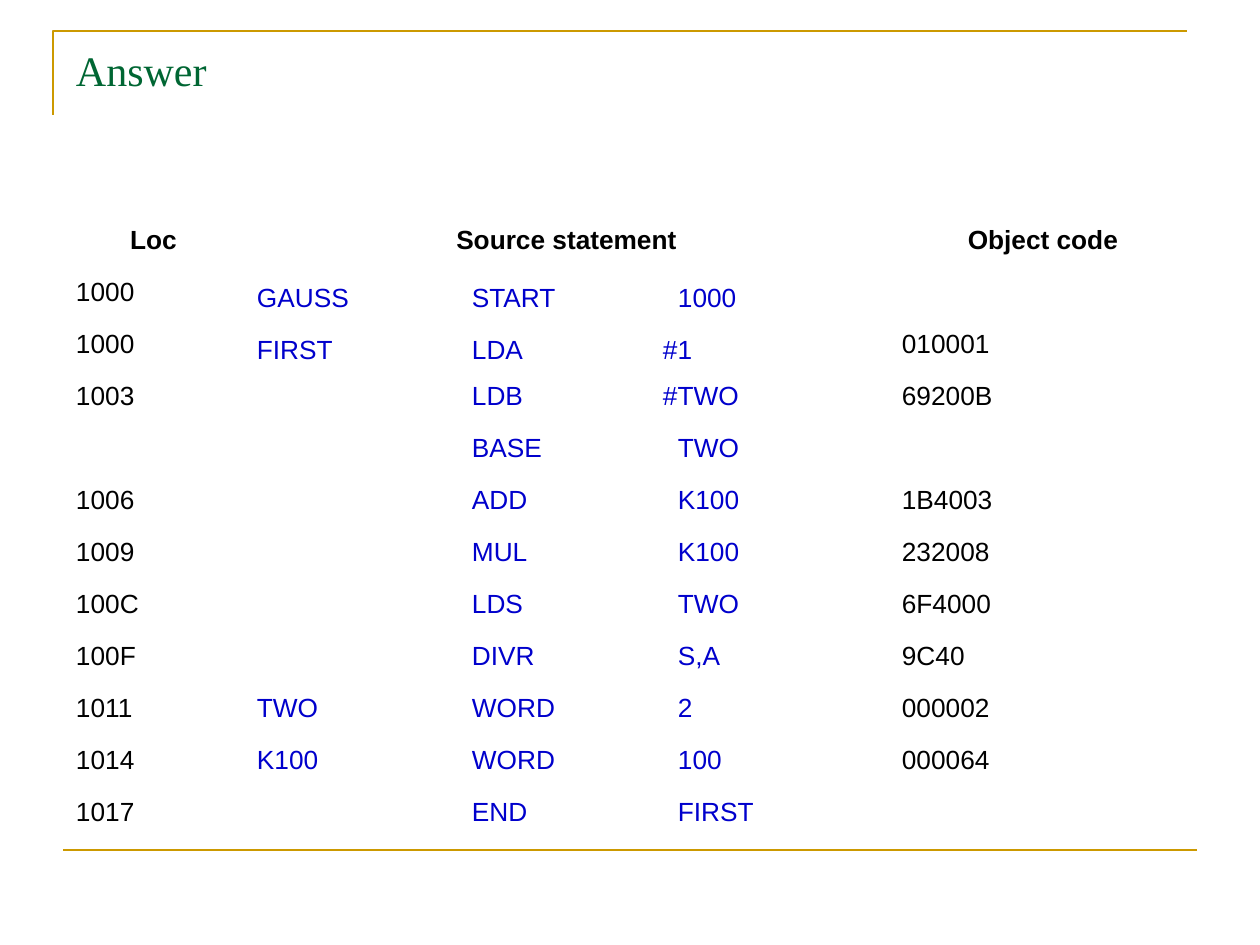
import pptx
import pptx.dml.color
import pptx.enum.shapes
import pptx.enum.text
import pptx.oxml.ns
import pptx.util
from lxml import etree

SCALE = 914400 / 126
GOLD = pptx.dml.color.RGBColor(0xCC, 0x99, 0x00)
GREEN = pptx.dml.color.RGBColor(0x00, 0x66, 0x33)
BLUE = pptx.dml.color.RGBColor(0x00, 0x00, 0xCC)
BLACK = pptx.dml.color.RGBColor(0x00, 0x00, 0x00)
TOP = pptx.enum.text.MSO_ANCHOR.TOP
MIDDLE = pptx.enum.text.MSO_ANCHOR.MIDDLE
LEFT = pptx.enum.text.PP_ALIGN.LEFT
CENTER = pptx.enum.text.PP_ALIGN.CENTER

PAD_X, PAD_Y = 13, 6
HASH_WIDTH = 15  # operands without "#" line up after it
ROW_HEIGHT = 52
COLUMNS = [181, 215, 191, 239, 308]
HEADERS = [(0, 0, "Loc"), (1, 3, "Source statement"), (4, 4, "Object code")]
OPERAND = 3
LISTING = [
    ("1000", "GAUSS", "START", "1000", ""),
    ("1000", "FIRST", "LDA", "#1", "010001"),
    ("1003", "", "LDB", "#TWO", "69200B"),
    ("", "", "BASE", "TWO", ""),
    ("1006", "", "ADD", "K100", "1B4003"),
    ("1009", "", "MUL", "K100", "232008"),
    ("100C", "", "LDS", "TWO", "6F4000"),
    ("100F", "", "DIVR", "S,A", "9C40"),
    ("1011", "TWO", "WORD", "2", "000002"),
    ("1014", "K100", "WORD", "100", "000064"),
    ("1017", "", "END", "FIRST", ""),
]


def px(n):
    """Turn pixels into EMU."""
    return pptx.util.Emu(round(n * SCALE))


class Deck:
    """The current slide and its style."""

    def __init__(self, prs):
        """Add a blank slide."""
        self.slide = prs.slides.add_slide(prs.slide_layouts[6])

    def run(self, p, text, size, color, font="Arial", bold=False):
        """Add one run of text to a paragraph."""
        r = p.add_run()
        r.text = text
        r.font.size = pptx.util.Pt(size)
        r.font.name = font
        r.font.bold = bold
        r.font.color.rgb = color

    def stroke(self, sp):
        """Give a shape the gold rule style."""
        sp.line.color.rgb = GOLD
        sp.line.width = pptx.util.Pt(1.5)

    def outline(self, start, *points):
        """Draw an open, unfilled polyline."""
        builder = self.slide.shapes.build_freeform(*start, scale=SCALE)
        builder.add_line_segments(points, close=False)
        sp = builder.convert_to_shape()
        sp.fill.background()
        sp.shadow.inherit = False
        self.stroke(sp)

    def rule(self, x1, y1, x2, y2):
        """Draw a straight line."""
        sp = self.slide.shapes.add_connector(
            pptx.enum.shapes.MSO_CONNECTOR.STRAIGHT, px(x1), px(y1), px(x2), px(y2))
        self.stroke(sp)
        etree.SubElement(sp._element.spPr, pptx.oxml.ns.qn("a:effectLst"))

    def title(self, text, x, y, w, h):
        """Add the slide title."""
        tf = self.slide.shapes.add_textbox(px(x), px(y), px(w), px(h)).text_frame
        tf.word_wrap = True
        tf.margin_left = tf.margin_right = px(PAD_X)
        tf.margin_top = tf.margin_bottom = px(PAD_Y)
        self.run(tf.paragraphs[0], text, 24, GREEN, "Times New Roman")

    def table(self, x, y, columns, row_count):
        """Add an unfilled table with even rows."""
        frame = self.slide.shapes.add_table(
            row_count, len(columns), px(x), px(y), px(sum(columns)), px(row_count * ROW_HEIGHT))
        table = frame.table
        table.first_row = table.horz_banding = False
        for column, width in zip(table.columns, columns):
            column.width = px(width)
        for row in table.rows:
            row.height = px(ROW_HEIGHT)
        for cell in table.iter_cells():
            cell.fill.background()
            cell.margin_left = cell.margin_right = px(PAD_X)
            cell.margin_top = cell.margin_bottom = px(PAD_Y)
        return table

    def cell(self, cell, text, color=BLACK, bold=False, align=LEFT, anchor=TOP):
        """Write text into a table cell."""
        cell.vertical_anchor = anchor
        p = cell.text_frame.paragraphs[0]
        p.alignment = align
        self.run(p, text, 15, color, bold=bold)


def main():
    """Build the slide and save it."""
    prs = pptx.Presentation()
    prs.slide_width, prs.slide_height = px(1260), px(945)
    deck = Deck(prs)
    deck.outline((53, 115), (53, 31), (1187, 31))
    deck.rule(63, 850, 1197, 850)
    deck.title("Answer", 63, 38, 1134, 157)

    table = deck.table(63, 220, COLUMNS, len(LISTING) + 1)
    for first, last, text in HEADERS:
        if last > first:
            table.cell(0, first).merge(table.cell(0, last))
        deck.cell(table.cell(0, first), text, bold=True, align=CENTER)
    for i, line in enumerate(LISTING, 1):
        for j, text in enumerate(line):
            if not text:
                continue
            cell = table.cell(i, j)
            source = 1 <= j <= OPERAND
            deck.cell(cell, text, BLUE if source else BLACK,
                      anchor=MIDDLE if source and i <= 2 else TOP)
            if j == OPERAND and not text.startswith("#"):
                cell.margin_left = px(PAD_X + HASH_WIDTH)
    prs.save("out.pptx")


main()
